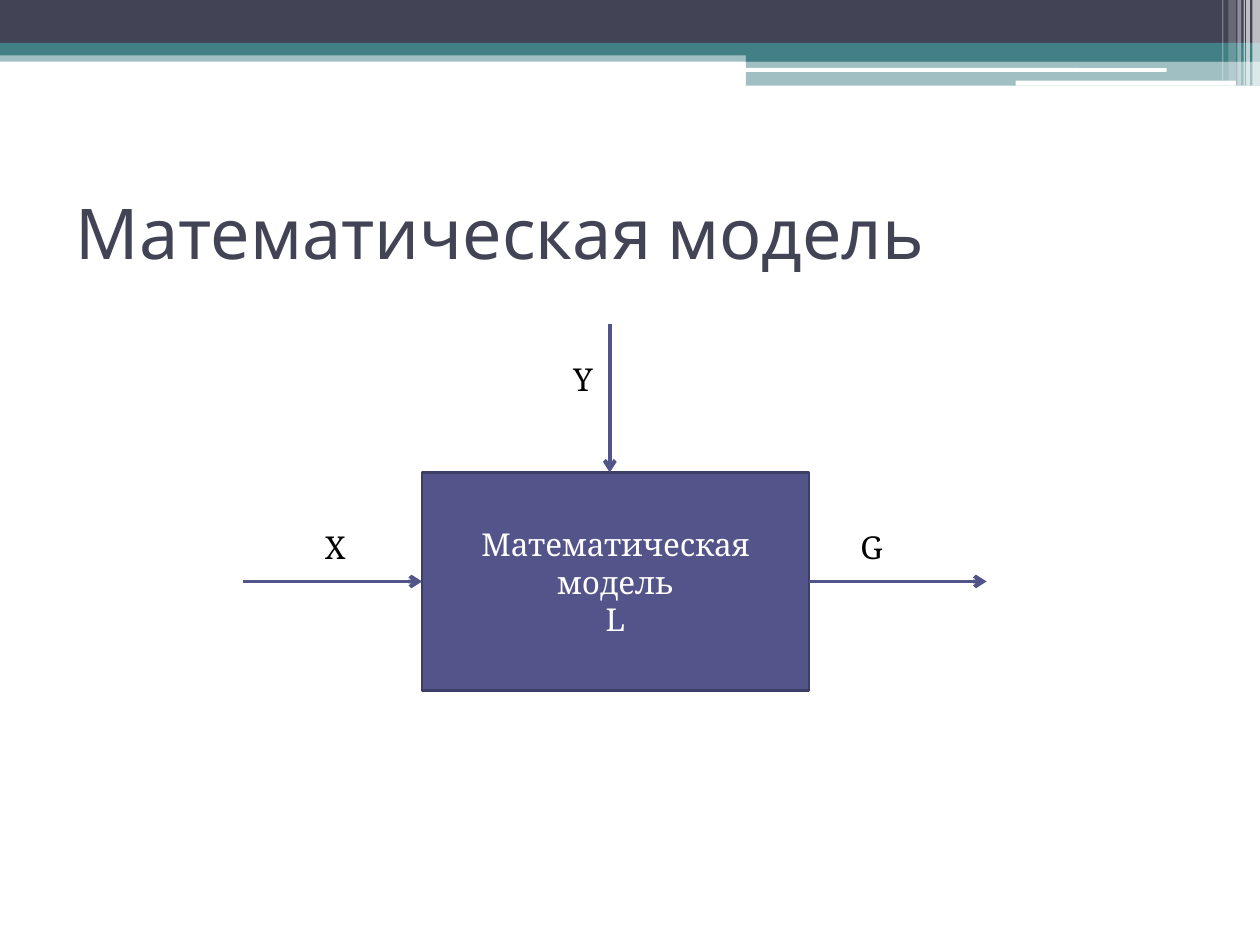
from typing import NamedTuple, Optional

from lxml import etree
from pptx import Presentation
from pptx.dml.color import RGBColor
from pptx.enum import shapes, text
from pptx.oxml import ns
from pptx.util import Inches, Pt

NAVY = RGBColor(0x42, 0x44, 0x56)
TEAL = RGBColor(0x43, 0x80, 0x86)
INDIGO = RGBColor(0x53, 0x54, 0x8A)
INDIGO_DARK = RGBColor(0x3D, 0x3E, 0x66)
WHITE = RGBColor(0xFF, 0xFF, 0xFF)
BLACK = RGBColor(0, 0, 0)

RECT = shapes.MSO_SHAPE.RECTANGLE
ROUNDED = shapes.MSO_SHAPE.ROUNDED_RECTANGLE
HEADING_FONT = "Karla"
BODY_FONT = "Noto Serif"


class Band(NamedTuple):
    left: float
    top: float
    width: float
    height: float
    color: RGBColor
    opacity: int = 100
    kind: shapes.MSO_SHAPE = RECT


class Flow(NamedTuple):
    label: str
    label_left: float
    label_top: float
    label_width: float
    start: tuple[float, float]
    end: tuple[float, float]
    begin_site: Optional[int] = None
    end_site: Optional[int] = None


BANDS = [
    Band(0, 0.4, 10, 0.09, TEAL, 50),
    Band(0, 0, 10, 0.34, NAVY),
    Band(0, 0.34, 10, 0.1, TEAL),
    Band(5.92, 0.39, 4.08, 0.1, TEAL),
    Band(5.92, 0.48, 4.08, 0.2, TEAL, 50),
    Band(5.91, 0.54, 3.35, 0.03, WHITE, kind=ROUNDED),
    Band(8.06, 0.64, 1.75, 0.04, WHITE, kind=ROUNDED),
    Band(9.94, 0, 0.06, 0.68, WHITE, 65),
    Band(9.89, 0, 0.03, 0.68, WHITE, 65),
    Band(9.87, 0, 0.01, 0.68, WHITE, 60),
    Band(9.82, 0, 0.03, 0.68, WHITE, 40),
    Band(9.75, 0, 0.06, 0.64, WHITE, 20),
    Band(9.7, 0, 0.01, 0.64, WHITE, 30),
]

FLOWS = [
    Flow("X", 2.48, 4.14, 0.38, (1.93, 4.62), (3.35, 4.62), end_site=1),
    Flow("Y", 4.45, 2.81, 0.36, (4.84, 2.57), (4.84, 3.75)),
    Flow("G", 6.73, 4.14, 0.38, (6.42, 4.62), (7.83, 4.62), begin_site=3),
]


def apply(target, values: dict) -> None:
    for name, value in values.items():
        setattr(target, name, value)


def write(frame, lines: list[str], font: str, size: int, color: RGBColor,
          align: text.PP_ALIGN, frame_format: dict) -> None:
    apply(frame, frame_format)
    frame.text = "\n".join(lines)
    for paragraph in frame.paragraphs:
        paragraph.alignment = align
        for run in paragraph.runs:
            apply(run.font, {"name": font, "size": Pt(size)})
            run.font.color.rgb = color


def draw_band(slide, band: Band):
    shape = slide.shapes.add_shape(band.kind, *map(Inches, band[:4]))
    shape.shadow.inherit = False
    shape.line.fill.background()
    shape.fill.solid()
    shape.fill.fore_color.rgb = band.color
    if band.opacity < 100:
        color = shape.fill._xPr.find(".//" + ns.qn("a:srgbClr"))
        etree.SubElement(color, ns.qn("a:alpha"), val=str(band.opacity * 1000))
    return shape


def draw_model(slide):
    model = draw_band(slide, Band(3.35, 3.75, 3.07, 1.73, INDIGO))
    model.line.color.rgb = INDIGO_DARK
    model.line.width = Pt(1.5)
    write(model.text_frame, ["Математическая модель", "L"], BODY_FONT, 18, WHITE,
          text.PP_ALIGN.CENTER,
          {"word_wrap": True, "vertical_anchor": text.MSO_ANCHOR.MIDDLE})
    return model


def draw_flow(slide, flow: Flow, model) -> None:
    arrow = slide.shapes.add_connector(
        shapes.MSO_CONNECTOR.STRAIGHT, *map(Inches, flow.start + flow.end))
    if flow.begin_site is not None:
        arrow.begin_connect(model, flow.begin_site)
        arrow.end_y = arrow.begin_y
    if flow.end_site is not None:
        arrow.end_connect(model, flow.end_site)
        arrow.begin_y = arrow.end_y
    arrow.line.color.rgb = INDIGO
    arrow.line.width = Pt(2.25)
    etree.SubElement(arrow.line._get_or_add_ln(), ns.qn("a:tailEnd"), type="arrow")
    etree.SubElement(arrow._element.spPr, ns.qn("a:effectLst"))

    label = slide.shapes.add_textbox(
        *map(Inches, (flow.label_left, flow.label_top, flow.label_width, 0.4)))
    write(label.text_frame, [flow.label], BODY_FONT, 18, BLACK, text.PP_ALIGN.LEFT,
          {"word_wrap": False, "auto_size": text.MSO_AUTO_SIZE.SHAPE_TO_FIT_TEXT})


def draw_title(slide) -> None:
    title = slide.shapes.title
    apply(title, {"left": Inches(0.5), "top": Inches(1.25),
                  "width": Inches(9), "height": Inches(1.17)})
    write(title.text_frame, ["Математическая модель"], HEADING_FONT, 40, NAVY,
          text.PP_ALIGN.LEFT,
          {"word_wrap": True, "auto_size": text.MSO_AUTO_SIZE.NONE,
           "vertical_anchor": text.MSO_ANCHOR.MIDDLE})


def main() -> None:
    deck = Presentation()
    apply(deck, {"slide_width": Inches(10), "slide_height": Inches(7.5)})
    slide = deck.slides.add_slide(deck.slide_layouts.get_by_name("Title Only"))
    for band in BANDS:
        draw_band(slide, band)
    draw_title(slide)
    model = draw_model(slide)
    for flow in FLOWS:
        draw_flow(slide, flow, model)
    deck.save("out.pptx")


if __name__ == "__main__":
    main()
